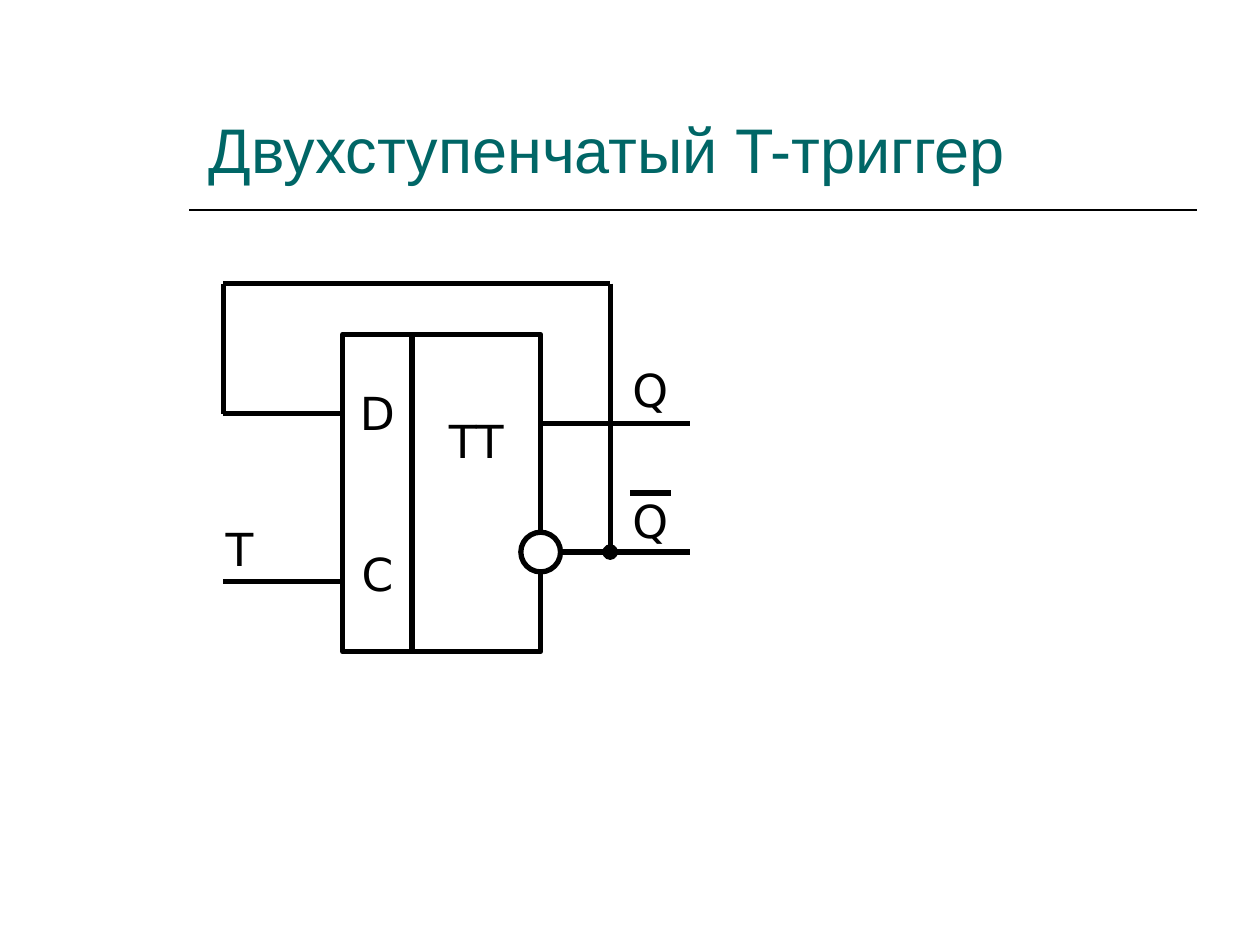
from lxml import etree
from pptx import Presentation
from pptx.dml.color import RGBColor
from pptx.enum.shapes import MSO_CONNECTOR, MSO_SHAPE
from pptx.enum.text import MSO_ANCHOR, PP_ALIGN
from pptx.oxml.ns import qn
from pptx.util import Cm, Pt

STRAIGHT = MSO_CONNECTOR.STRAIGHT
RECTANGLE, OVAL = MSO_SHAPE.RECTANGLE, MSO_SHAPE.OVAL
MIDDLE, BOTTOM = MSO_ANCHOR.MIDDLE, MSO_ANCHOR.BOTTOM
CENTER = PP_ALIGN.CENTER
COLORS = {"title": "006666", "ink": "000000", "paper": "FFFFFF"}
LABEL_FONT, LABEL_SIZE = "DejaVu Sans", 26
LINE_STEP = 30.25


def rgb(name):
    """Return the named colour."""
    return RGBColor.from_string(COLORS[name])


def style_text(frame, font, size, color):
    """Format every run of a text frame."""
    for para in frame.paragraphs:
        for span in para.runs:
            span.font.name = font
            span.font.size = Pt(size)
            span.font.color.rgb = rgb(color)


def add_line(page, start, end, width=3, dot=False):
    """Draw a straight line in cm, with an optional junction dot at its end."""
    line = page.shapes.add_connector(STRAIGHT, *map(Cm, (*start, *end)))
    line.line.color.rgb = rgb("ink")
    line.line.width = Pt(width)
    properties = line._element.spPr
    if dot:
        outline = properties.find(qn("a:ln"))
        etree.SubElement(outline, qn("a:tailEnd"), type="oval")
    etree.SubElement(properties, qn("a:effectLst"))


def add_outlined(page, kind, left, top, width, height):
    """Draw a white shape with a thick black outline."""
    shape = page.shapes.add_shape(kind, Cm(left), Cm(top), Cm(width), Cm(height))
    shape.shadow.inherit = False
    shape.fill.solid()
    shape.fill.fore_color.rgb = rgb("paper")
    shape.line.color.rgb = rgb("ink")
    shape.line.width = Pt(3)
    return shape


def add_block(page, left, top, width, height, text, gap=0, lift=0):
    """Draw a block with centred lines, a gap in points and a lift in cm."""
    frame = add_outlined(page, RECTANGLE, left, top, width, height).text_frame
    frame.text = text
    frame.word_wrap = False
    frame.vertical_anchor = MIDDLE
    frame.margin_bottom = Cm(0.13 + lift)
    for index, para in enumerate(frame.paragraphs):
        para.alignment = CENTER
        para.space_before = Pt(gap if index else 0)
    style_text(frame, LABEL_FONT, LABEL_SIZE, "ink")


def add_label(page, left, top, width, text):
    """Write a signal name."""
    box = page.shapes.add_textbox(Cm(left), Cm(top), Cm(width), Cm(1.37))
    box.text_frame.word_wrap = True
    box.text_frame.text = text
    style_text(box.text_frame, LABEL_FONT, LABEL_SIZE, "ink")


def add_header(page, left, top, width, height):
    """Place the title and the rule below it."""
    box = page.shapes.add_textbox(Cm(left + 0.15), Cm(top), Cm(20), Cm(height))
    frame = box.text_frame
    frame.word_wrap = True
    frame.vertical_anchor = BOTTOM
    frame.text = "Двухступенчатый T-триггер"
    style_text(frame, "Arial", 36, "title")
    rule = top + height + 0.37
    add_line(page, (left, rule), (left + width, rule), width=1)


def add_flip_flop(page, left, top, width, height):
    """Draw the flip-flop with its wires, feedback loop and labels."""
    right = left + width
    inputs, body, edge = left + 2.41, left + 3.81, left + 6.4
    block_top = top + 1.02
    block_height = height - 1.02
    data, clock = top + 2.62, top + 6
    direct, inverse = top + 2.82, top + 5.41
    feedback = left + 7.8
    radius = 0.4

    add_block(page, inputs, block_top, body - inputs, block_height, "D\nC",
              gap=2 * LINE_STEP)
    add_block(page, body, block_top, edge - body, block_height, "TT", lift=2.13)

    wires = [
        ((edge, direct), (right, direct)),
        ((edge, inverse), (right, inverse)),
        ((left, clock), (inputs, clock)),
        ((left, data), (inputs, data)),
        ((left, data), (left, top)),
        ((left, top), (feedback, top)),
        ((left + 8.2, top + 4.22), (left + 9.02, top + 4.22)),
    ]
    for start, end in wires:
        add_line(page, start, end)
    add_line(page, (feedback, top), (feedback, inverse), dot=True)
    add_outlined(page, OVAL, edge - radius, inverse - radius, 2 * radius, 2 * radius)

    add_label(page, left + 8, top + 1.45, 2.2, "Q")
    add_label(page, left + 8, top + 4.1, 2.2, "Q")
    add_label(page, left - 0.2, top + 4.65, 1.8, "T")


def main():
    """Build and save the deck."""
    deck = Presentation()
    deck.slide_width, deck.slide_height = Cm(25.4), Cm(19.05)
    page = deck.slides.add_slide(deck.slide_layouts[6])
    add_header(page, 3.81, 1, 20.32, 2.87)
    add_flip_flop(page, 4.5, 5.72, 9.4, 7.42)
    deck.save("out.pptx")


if __name__ == "__main__":
    main()
